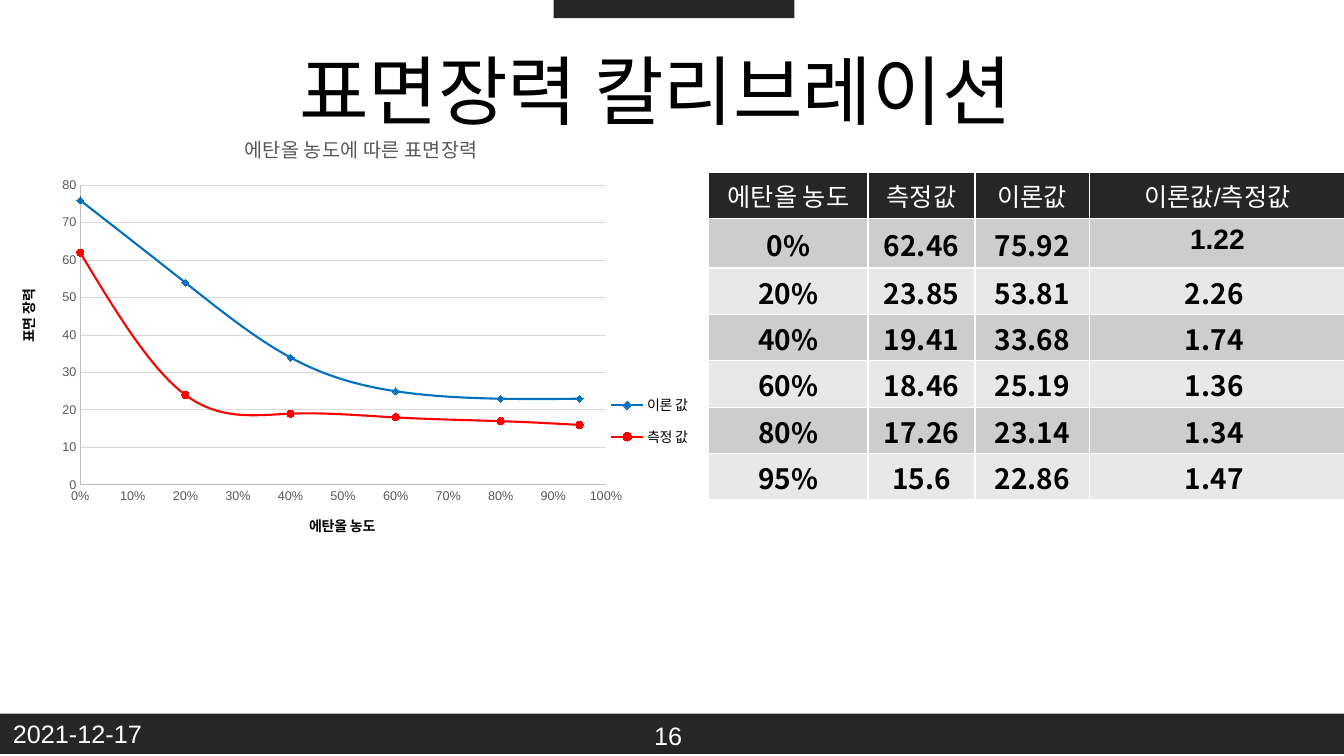
from dataclasses import dataclass

from lxml import etree
from pptx import Presentation
from pptx.chart.data import XyChartData
from pptx.dml.color import RGBColor
from pptx.enum import chart as ch, shapes, text
from pptx.oxml import ns
from pptx.util import Inches, Pt

DARK, WHITE, BLACK, GRAY = "262626", "FFFFFF", "000000", "595959"
BANDS = ("CDCDCD", "E8E8E8")
LATIN, KOREAN = "Arial", "Noto Sans CJK KR"
CENTER = text.PP_ALIGN.CENTER


@dataclass
class Box:
    x: float
    y: float
    w: float
    h: float

    def emu(self) -> list:
        return [Inches(v) for v in (self.x, self.y, self.w, self.h)]


@dataclass
class Tension:
    ethanol: float
    measured: float
    theory: float
    ratio: str


@dataclass
class Curve:
    name: str
    field: str
    color: str
    marker: ch.XL_MARKER_STYLE


TENSIONS = [
    Tension(0, 62.46, 75.92, "1.22"),
    Tension(0.2, 23.85, 53.81, "2.26 "),
    Tension(0.4, 19.41, 33.68, "1.74 "),
    Tension(0.6, 18.46, 25.19, "1.36 "),
    Tension(0.8, 17.26, 23.14, "1.34 "),
    Tension(0.95, 15.6, 22.86, "1.47 "),
]
CURVES = [
    Curve("이론 값", "theory", "0070C0", ch.XL_MARKER_STYLE.DIAMOND),
    Curve("측정 값", "measured", "FF0000", ch.XL_MARKER_STYLE.CIRCLE),
]
BARS = [Box(5.49, 0, 2.39, 0.18), Box(0, 7.08, 13.33, 0.4)]
FOOTERS = [("2021-12-17", Box(0.03, 7.08, 3, 0.4)), ("16", Box(6.39, 7.1, 0.54, 0.4))]
HEADERS = ("에탄올 농도", "측정값", "이론값", "이론값/측정값")
COLUMNS = (1.58, 1.06, 1.14, 2.53)
ROWS = (0.46, 0.49) + (0.46,) * 5


def rgb(color: str) -> RGBColor:
    return RGBColor.from_string(color)


def set_font(font, size: float, color: str, name: str = LATIN, bold: bool = False) -> None:
    font.size, font.name, font.bold = Pt(size), name, bold
    font.color.rgb = rgb(color)


def write(tf, content: str, *, size: float, color: str, name: str = LATIN,
          bold: bool = False, align=None):
    p = tf.paragraphs[0]
    p.alignment = align
    r = p.add_run()
    r.text = content
    set_font(r.font, size, color, name, bold)
    return p


def set_line(line, color: str, width: float) -> None:
    line.color.rgb = rgb(color)
    line.width = Pt(width)


def place(part, index: int, inner: bool = False, **fractions: float) -> None:
    """Give a chart part a manual layout in fractions of the chart."""
    for old in part.findall(ns.qn("c:layout")):
        part.remove(old)
    layout = etree.Element(ns.qn("c:layout"))
    manual = etree.SubElement(layout, ns.qn("c:manualLayout"))
    settings = {"layoutTarget": "inner"} if inner else {}
    settings |= {"xMode": "edge", "yMode": "edge"} | fractions
    for tag, value in settings.items():
        etree.SubElement(manual, ns.qn(f"c:{tag}")).set("val", str(value))
    part.insert(index, layout)


def add_title(owner, content: str, x: float, y: float, *, size: float, color: str,
              bold: bool = False, upright: bool = False) -> None:
    """Title a chart or an axis; upright turns it to read upwards."""
    title = owner.chart_title if hasattr(owner, "chart_title") else owner.axis_title
    write(title.text_frame, content, size=size, color=color, bold=bold)
    element = title._element
    if upright:
        body = element.find(f".//{ns.qn('a:bodyPr')}")
        body.set("rot", "-5400000")
        body.set("vert", "horz")
    place(element, 1, x=x, y=y)


def format_axis(axis, top: float, step: float, number_format: str) -> None:
    axis.minimum_scale, axis.maximum_scale, axis.major_unit = 0, top, step
    axis.major_tick_mark = axis.minor_tick_mark = ch.XL_TICK_MARK.NONE
    axis.tick_labels.number_format = number_format
    axis.tick_labels.number_format_is_linked = False
    set_font(axis.tick_labels.font, 9, GRAY)
    set_line(axis.format.line, "BFBFBF", 0.75)


def add_tension_chart(s) -> None:
    data = XyChartData()
    for curve in CURVES:
        points = data.add_series(curve.name)
        for t in TENSIONS:
            points.add_data_point(t.ethanol, round(getattr(t, curve.field)))
    chart = s.shapes.add_chart(ch.XL_CHART_TYPE.XY_SCATTER_SMOOTH,
                               *Box(0, 1.14, 7.24, 4.37).emu(), data).chart
    set_font(chart.font, 10, BLACK)
    plot = chart.plots[0]
    plot.vary_by_categories = False
    for curve, series in zip(CURVES, plot.series):
        set_line(series.format.line, curve.color, 1.5)
        series.marker.style, series.marker.size = curve.marker, 5
        series.marker.format.fill.solid()
        series.marker.format.fill.fore_color.rgb = rgb(curve.color)
        set_line(series.marker.format.line, curve.color, 0.75)
        series._element.find(ns.qn("c:smooth")).set("val", "1")

    x_axis, y_axis = chart.category_axis, chart.value_axis
    format_axis(x_axis, 1, 0.1, "0%")
    format_axis(y_axis, 80, 10, "0")
    x_axis.has_major_gridlines = False
    y_axis.has_major_gridlines = True
    set_line(y_axis.major_gridlines.format.line, "D9D9D9", 0.75)

    add_title(chart, "에탄올 농도에 따른 표면장력", 0.33, 0.03, size=14, color=GRAY)
    add_title(x_axis, "에탄올 농도", 0.42, 0.9, size=10, color=BLACK, bold=True)
    add_title(y_axis, "표면 장력", 0.02, 0.39, size=10, color=BLACK, bold=True, upright=True)
    chart.has_legend = True
    chart.legend.position = ch.XL_LEGEND_POSITION.RIGHT
    chart.legend.include_in_layout = False
    set_font(chart.legend.font, 10, BLACK)
    place(chart.legend._element, 1, x=0.82, y=0.61, w=0.14, h=0.17)
    place(chart._chartSpace.chart.plotArea, 0, inner=True, x=0.11, y=0.16, w=0.72, h=0.68)


def format_cell(cell, fill: str) -> None:
    """White borders first, then the fill, as the cell properties need."""
    tc_pr = cell._tc.get_or_add_tcPr()
    for side in "LRTB":
        ln = etree.SubElement(tc_pr, ns.qn(f"a:ln{side}"), w=str(Pt(1)))
        solid = etree.SubElement(ln, ns.qn("a:solidFill"))
        etree.SubElement(solid, ns.qn("a:srgbClr"), val=WHITE)
    cell.fill.solid()
    cell.fill.fore_color.rgb = rgb(fill)


def add_tension_table(s) -> None:
    box = Box(7.03, 1.71, sum(COLUMNS), sum(ROWS))
    table = s.shapes.add_table(len(ROWS), len(COLUMNS), *box.emu()).table
    for column, width in zip(table.columns, COLUMNS):
        column.width = Inches(width)
    for row, height in zip(table.rows, ROWS):
        row.height = Inches(height)
    for i, header in enumerate(HEADERS):
        cell = table.cell(0, i)
        format_cell(cell, DARK)
        write(cell.text_frame, header, size=18, color=WHITE, align=CENTER)
    for j, t in enumerate(TENSIONS):
        values = (f"{t.ethanol:.0%}", str(t.measured), str(t.theory), t.ratio)
        for i, value in enumerate(values):
            cell = table.cell(j + 1, i)
            format_cell(cell, BANDS[j % 2])
            first_ratio = j == 0 and i == 3
            if not first_ratio:
                cell.vertical_anchor = text.MSO_ANCHOR.MIDDLE
                cell.margin_left = cell.margin_right = cell.margin_top = Inches(0.01)
                cell.margin_bottom = 0
            write(cell.text_frame, value, size=20, color=BLACK, bold=True,
                  name=LATIN if first_ratio else KOREAN, align=CENTER)


def main() -> None:
    prs = Presentation()
    prs.slide_width, prs.slide_height = Inches(13.33), Inches(7.5)
    s = prs.slides.add_slide(prs.slide_layouts[5])
    for bar in BARS:
        sp = s.shapes.add_shape(shapes.MSO_SHAPE.RECTANGLE, *bar.emu())
        sp.shadow.inherit = False
        sp.fill.solid()
        sp.fill.fore_color.rgb = rgb(DARK)
        sp.line.fill.background()
    for content, box in FOOTERS:
        tf = s.shapes.add_textbox(*box.emu()).text_frame
        tf.word_wrap = True
        write(tf, content, size=18, color=WHITE)

    title = s.shapes.title
    title.left, title.top, title.width, title.height = Box(0.17, 0.55, 12.66, 0.79).emu()
    tf = title.text_frame
    tf.auto_size = text.MSO_AUTO_SIZE.NONE
    tf.vertical_anchor = text.MSO_ANCHOR.MIDDLE
    write(tf, "표면장력 칼리브레이션", size=54, color=BLACK, align=CENTER).line_spacing = 0.9
    add_tension_chart(s)
    add_tension_table(s)
    prs.save("out.pptx")


if __name__ == "__main__":
    main()
